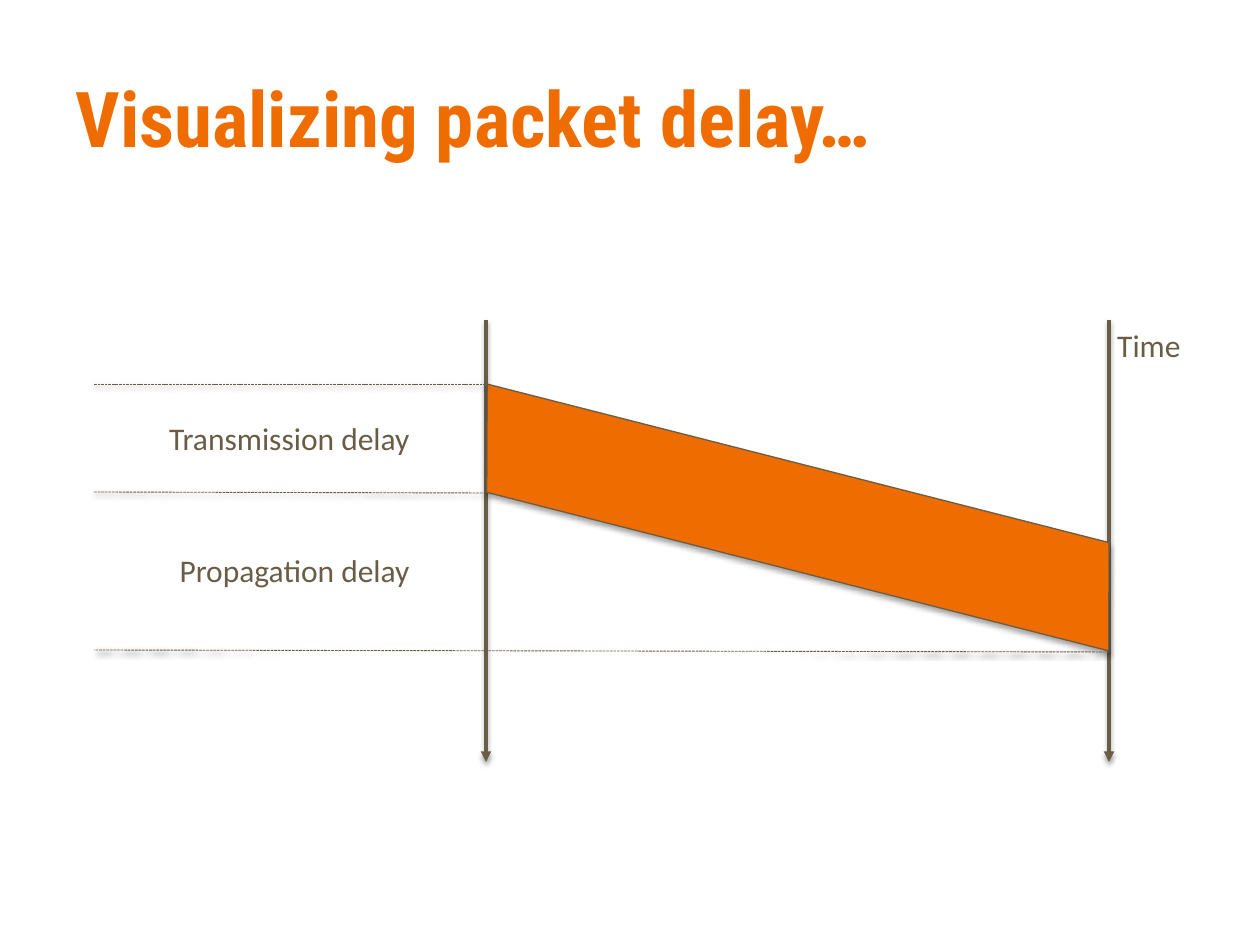
from dataclasses import dataclass
from typing import Optional

from lxml.etree import SubElement
from pptx import Presentation
from pptx.dml.color import RGBColor
from pptx.enum.dml import MSO_LINE_DASH_STYLE as Dash
from pptx.enum.shapes import MSO_CONNECTOR as Connector, MSO_SHAPE as Shape
from pptx.enum.text import MSO_ANCHOR as Anchor, MSO_AUTO_SIZE as AutoSize, PP_ALIGN as Align
from pptx.oxml.ns import qn
from pptx.util import Emu, Pt

PX_PER_INCH = 126
ORANGE, BROWN, BLACK = "EF6C00", "695D46", "000000"
SENDER_X, RECEIVER_X, GUIDE_X = 486, 1109, 94
AXIS_TOP, AXIS_BOTTOM = 320, 762


@dataclass(frozen=True)
class Line:
    """A straight line between two points in px."""
    x1: int
    y1: int
    x2: int
    y2: int
    width: float = 0.5
    dashed: bool = True
    arrow: bool = False


@dataclass(frozen=True)
class Label:
    """A right-aligned text box in px."""
    text: str
    left: int
    top: int
    width: int
    wrap: bool = True


LINES = [
    *(Line(x, AXIS_TOP, x, AXIS_BOTTOM, width=2, dashed=False, arrow=True)
      for x in (SENDER_X, RECEIVER_X)),
]
GUIDES = [
    Line(SENDER_X, 384, GUIDE_X, 384),
    Line(SENDER_X, 493, GUIDE_X, 492),
    Line(RECEIVER_X, 652, GUIDE_X, 650),
]
LABELS = [
    Label("Transmission delay", 151, 413, 271),
    Label("Propagation delay", 162, 545, 260, wrap=False),
    Label("Time", 1091, AXIS_TOP, 102),
]
LABEL_HEIGHT = 51


def px(length: int) -> Emu:
    """Turn px into EMU."""
    return Emu(round(length * 914400 / PX_PER_INCH))


def color(value: str) -> RGBColor:
    """Turn a hex string into a colour."""
    return RGBColor.from_string(value)


def add_shadow(shape, distance: float, opacity: int) -> None:
    """Give a shape a soft shadow straight below it."""
    effects = SubElement(shape._element.spPr, qn("a:effectLst"))
    shadow = SubElement(effects, qn("a:outerShdw"), blurRad=str(Pt(3.1)), dist=str(Pt(distance)),
                        dir="5400000", rotWithShape="0")
    tint = SubElement(shadow, qn("a:srgbClr"), val=BLACK)
    SubElement(tint, qn("a:alpha"), val=str(opacity * 1000))


def write_text(frame, text: str, *, font: str, size: int, fill: str,
               bold: bool = False, align: Optional[Align] = None) -> None:
    """Write one formatted paragraph into a text frame."""
    paragraph = frame.paragraphs[0]
    paragraph.alignment = align
    run = paragraph.add_run()
    run.text = text
    run.font.name, run.font.size, run.font.bold = font, Pt(size), bold
    run.font.color.rgb = color(fill)


def add_title(slide, text: str) -> None:
    """Place and fill the title placeholder."""
    title = slide.shapes.title
    title.left, title.top, title.width, title.height = px(63), px(38), px(1134), px(158)
    title.text_frame.vertical_anchor = Anchor.MIDDLE
    write_text(title.text_frame, text, font="Roboto Condensed", size=44, fill=ORANGE,
               bold=True, align=Align.LEFT)


def add_line(slide, line: Line) -> None:
    """Draw a time axis or a guide line."""
    connector = slide.shapes.add_connector(
        Connector.STRAIGHT, px(line.x1), px(line.y1), px(line.x2), px(line.y2))
    connector.line.color.rgb = color(BROWN)
    connector.line.width = Pt(line.width)
    if line.dashed:
        connector.line.dash_style = Dash.SQUARE_DOT
    if line.arrow:
        SubElement(connector.line._get_or_add_ln(), qn("a:tailEnd"), type="triangle")
    add_shadow(connector, 1.6, 38)


def add_packet(slide) -> None:
    """Draw the packet as a slanted band between the axes."""
    packet = slide.shapes.add_shape(Shape.PARALLELOGRAM, px(464), px(465), px(668), px(105))
    packet.adjustments[0] = 0.25
    packet.rotation = 14.3
    packet._element.spPr.find(qn("a:xfrm")).set("flipV", "1")
    packet.fill.solid()
    packet.fill.fore_color.rgb = color(ORANGE)
    packet.line.color.rgb = color(BROWN)
    packet.line.width = Pt(0.75)
    add_shadow(packet, 1.8, 35)


def add_label(slide, label: Label) -> None:
    """Add a text label."""
    box = slide.shapes.add_textbox(px(label.left), px(label.top), px(label.width), px(LABEL_HEIGHT))
    box.text_frame.word_wrap = label.wrap
    box.text_frame.auto_size = AutoSize.SHAPE_TO_FIT_TEXT
    write_text(box.text_frame, label.text, font="Calibri", size=18, fill=BROWN, align=Align.RIGHT)


def main() -> None:
    """Build and save the slide."""
    presentation = Presentation()
    presentation.slide_width, presentation.slide_height = px(1260), px(945)
    slide = presentation.slides.add_slide(presentation.slide_layouts[5])
    add_title(slide, "Visualizing packet delay…")
    for axis in LINES:
        add_line(slide, axis)
    add_packet(slide)
    for guide in GUIDES:
        add_line(slide, guide)
    for label in LABELS:
        add_label(slide, label)
    presentation.save("out.pptx")


if __name__ == "__main__":
    main()
